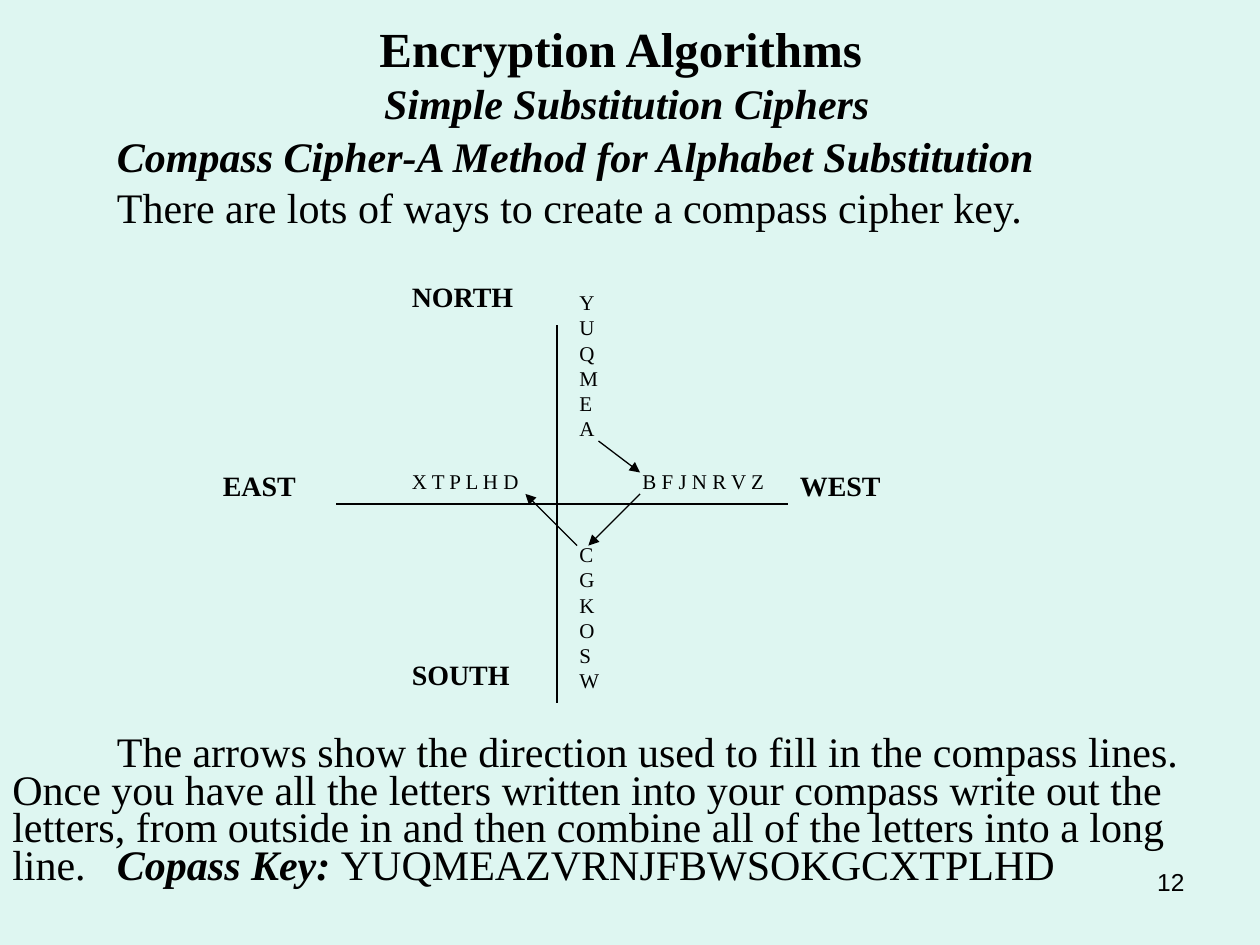
from dataclasses import dataclass
from typing import NamedTuple

from lxml.etree import SubElement
from pptx import Presentation
from pptx.dml.color import RGBColor
from pptx.enum.shapes import MSO_CONNECTOR
from pptx.enum.text import MSO_AUTO_SIZE, PP_ALIGN
from pptx.oxml.ns import qn
from pptx.util import Inches, Pt


@dataclass(frozen=True)
class Theme:
    background: RGBColor = RGBColor(0xDE, 0xF6, 0xF1)
    ink: RGBColor = RGBColor(0, 0, 0)
    serif: str = "Times New Roman"
    sans: str = "Arial"
    title: int = 28
    body: int = 24
    direction: int = 16
    page_number: int = 14
    letters: int = 12
    line: float = 0.75
    body_spacing: float = 0.75
    first_tab: float = 0.83


class Box(NamedTuple):
    left: float
    top: float
    width: float
    height: float


class Label(NamedTuple):
    text: str
    box: Box


class Segment(NamedTuple):
    start: tuple[float, float]
    end: tuple[float, float]
    arrow: bool = False


class Span(NamedTuple):
    text: str
    emphasis: bool = False


THEME = Theme()

DIRECTIONS = [
    Label(name, Box(left, top, 1.25, 0.37))
    for name, left, top in (
        ("NORTH", 3.17, 2.17),
        ("SOUTH", 3.17, 5.17),
        ("EAST", 1.67, 3.67),
        ("WEST", 6.25, 3.67),
    )
]

# The narrow boxes wrap after every letter, which stacks the letters vertically.
LETTERS = [
    Label("YUQMEA", Box(4.5, 2.25, 0.33, 1.3)),
    Label("CGKOSW", Box(4.5, 4.25, 0.33, 1.3)),
    Label("B F J N R V Z", Box(5, 3.67, 1.25, 0.3)),
    Label("X T P L H D", Box(3.17, 3.67, 1.25, 0.3)),
]

SEGMENTS = [
    Segment((4.42, 2.58), (4.42, 5.58)),
    Segment((2.67, 4), (6.25, 4)),
    Segment((4.75, 3.5), (5.08, 3.75), arrow=True),
    Segment((5.08, 3.92), (4.67, 4.33), arrow=True),
    Segment((4.58, 4.33), (4.17, 3.92), arrow=True),
]

INTRODUCTION = [
    [Span("\tCompass Cipher-A Method for Alphabet Substitution", emphasis=True)],
    [Span("\tThere are lots of ways to create a compass cipher key.")],
]

EXPLANATION = [
    [
        Span(
            "\tThe arrows show the direction used to fill in the compass lines. "
            "Once you have all the letters written into your compass write out "
            "the letters, from outside in and then combine all of the letters "
            "into a long line. \t"
        ),
        Span("Copass Key: ", emphasis=True),
        Span("YUQMEAZVRNJFBWSOKGCXTPLHD"),
    ]
]


def add_text_frame(slide, box: Box, wrap: bool = True, grow: bool = True):
    frame = slide.shapes.add_textbox(*map(Inches, box)).text_frame
    frame.word_wrap = wrap
    frame.auto_size = MSO_AUTO_SIZE.SHAPE_TO_FIT_TEXT if grow else MSO_AUTO_SIZE.NONE
    return frame


def style_font(font, size: int, name: str = THEME.serif, bold: bool = False,
               italic: bool = False) -> None:
    font.name = name
    font.size = Pt(size)
    font.bold = bold
    font.italic = italic
    font.color.rgb = THEME.ink


def add_label(slide, label: Label, size: int, space_before: float,
              bold: bool = False) -> None:
    paragraph = add_text_frame(slide, label.box).paragraphs[0]
    paragraph.text = label.text
    paragraph.space_before = Pt(space_before)
    style_font(paragraph.font, size, bold=bold)


def add_heading(slide) -> None:
    frame = add_text_frame(slide, Box(2.9, 0.1, 4.15, 0.96), wrap=False)
    title, subtitle = frame.paragraphs[0], frame.add_paragraph()
    title.text = "Encryption Algorithms "
    title.space_before = Pt(17.5)
    subtitle.text = "Simple Substitution Ciphers"
    style_font(title.font, THEME.title, bold=True)
    style_font(subtitle.font, THEME.body, bold=True, italic=True)
    for paragraph in (title, subtitle):
        paragraph.alignment = PP_ALIGN.CENTER


def add_body(slide, box: Box, paragraphs: list[list[Span]]) -> None:
    """Add tightly spaced paragraphs whose first words start at a tab stop."""
    frame = add_text_frame(slide, box)
    for index, spans in enumerate(paragraphs):
        paragraph = frame.add_paragraph() if index else frame.paragraphs[0]
        paragraph.line_spacing = THEME.body_spacing
        paragraph.space_before = Pt(7.5)
        properties = paragraph._p.get_or_add_pPr()
        tab_list = SubElement(properties, qn("a:tabLst"))
        SubElement(tab_list, qn("a:tab"), pos=str(Inches(THEME.first_tab)), algn="l")
        for span in spans:
            run = paragraph.add_run()
            run.text = span.text
            style_font(run.font, THEME.body, bold=span.emphasis, italic=span.emphasis)


def add_segment(slide, segment: Segment) -> None:
    connector = slide.shapes.add_connector(
        MSO_CONNECTOR.STRAIGHT, *map(Inches, segment.start + segment.end)
    )
    connector.line.color.rgb = THEME.ink
    connector.line.width = Pt(THEME.line)
    if segment.arrow:
        SubElement(connector.line._get_or_add_ln(), qn("a:tailEnd"), type="triangle")
    SubElement(connector._element.spPr, qn("a:effectLst"))


def add_page_number(slide, number: int) -> None:
    frame = add_text_frame(slide, Box(7.17, 6.83, 2.33, 0.52), grow=False)
    paragraph = frame.paragraphs[0]
    paragraph.text = str(number)
    paragraph.alignment = PP_ALIGN.RIGHT
    style_font(paragraph.font, THEME.page_number, THEME.sans)


def main() -> None:
    presentation = Presentation()
    presentation.slide_width = Inches(10)
    presentation.slide_height = Inches(7.5)
    slide = presentation.slides.add_slide(presentation.slide_layouts[6])
    slide.background.fill.solid()
    slide.background.fill.fore_color.rgb = THEME.background

    add_page_number(slide, 12)
    add_heading(slide)
    add_body(slide, Box(0, 1.08, 9.66, 0.8), INTRODUCTION)
    for segment in SEGMENTS:
        add_segment(slide, segment)
    for label in LETTERS:
        add_label(slide, label, THEME.letters, space_before=7.5)
    for label in DIRECTIONS:
        add_label(slide, label, THEME.direction, space_before=10, bold=True)
    add_body(slide, Box(0, 5.8, 9.66, 1.3), EXPLANATION)

    presentation.save("out.pptx")


if __name__ == "__main__":
    main()
